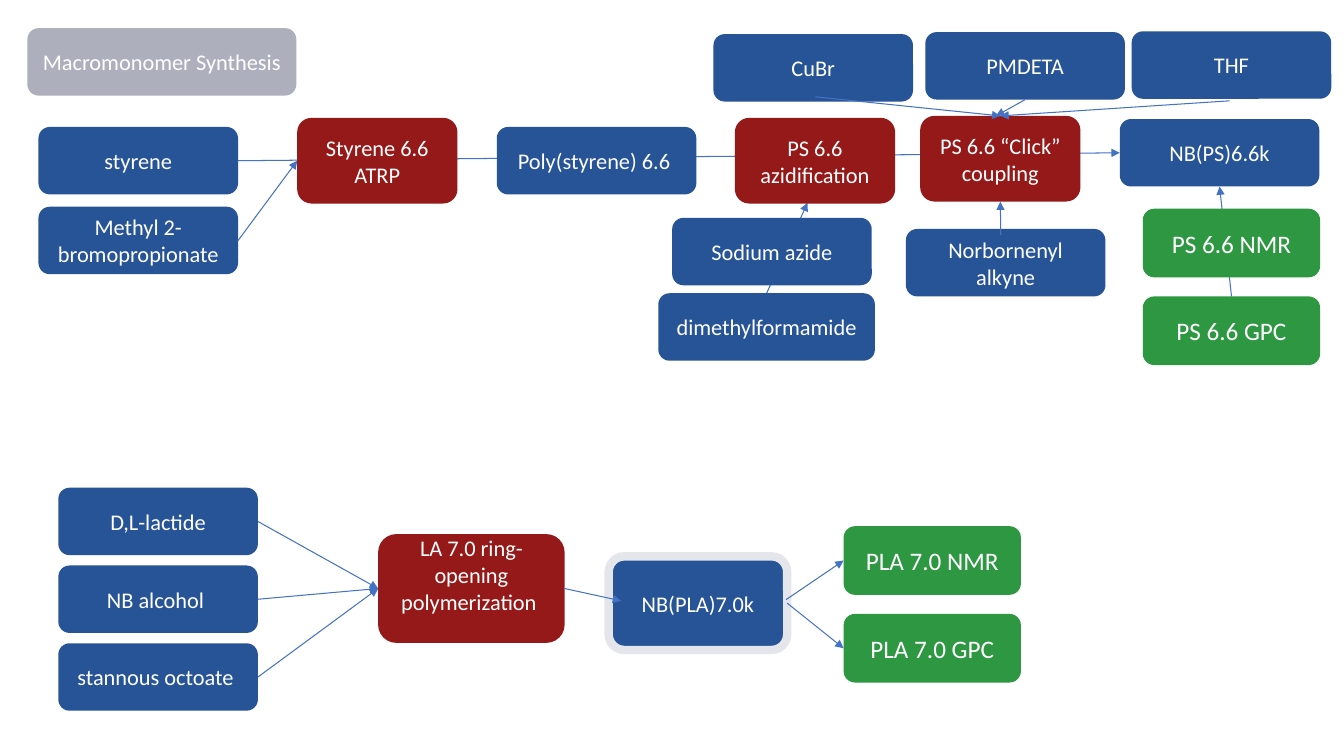
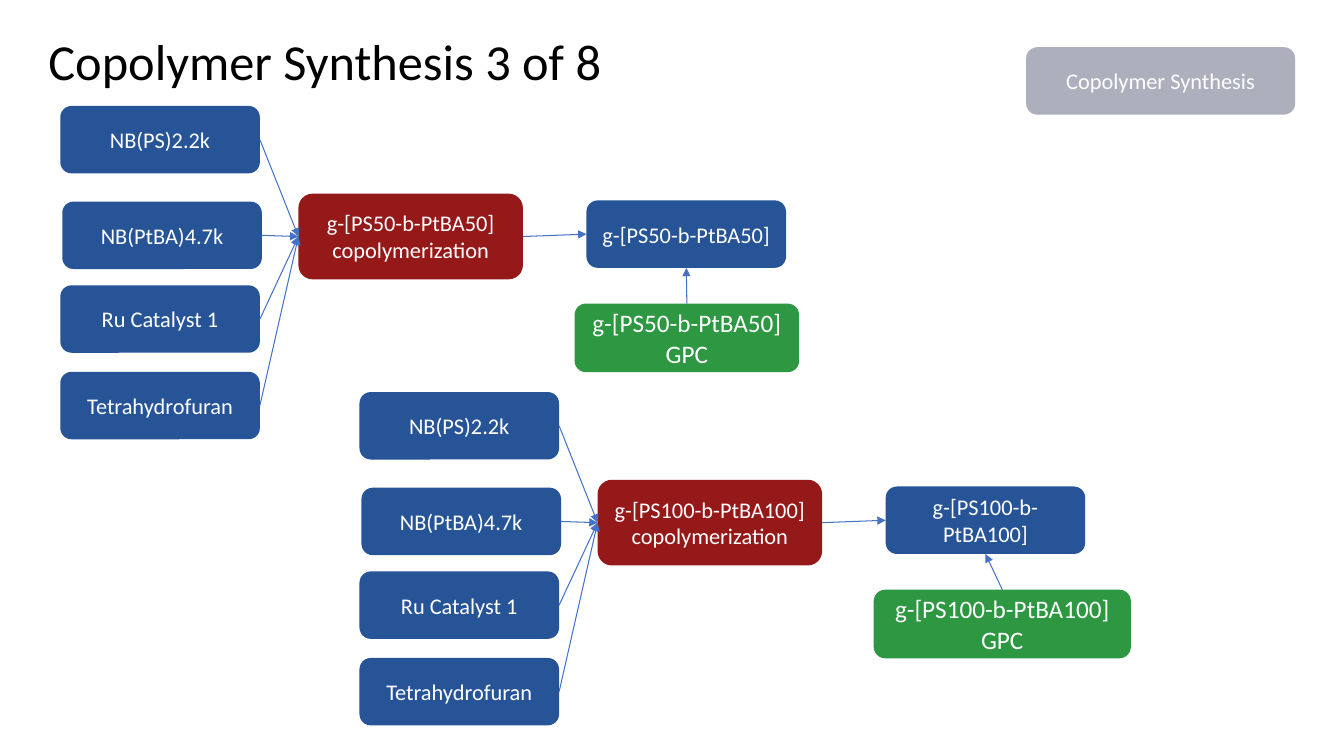
from collections import namedtuple
from dataclasses import dataclass

from lxml import etree
from pptx import Presentation
from pptx.dml.color import RGBColor
from pptx.enum.shapes import MSO_CONNECTOR, MSO_SHAPE
from pptx.enum.text import MSO_ANCHOR, PP_ALIGN
from pptx.oxml.ns import qn
from pptx.util import Cm, Pt

ROUNDED = MSO_SHAPE.ROUNDED_RECTANGLE
STRAIGHT = MSO_CONNECTOR.STRAIGHT
MIDDLE, BOTTOM_ANCHOR = MSO_ANCHOR.MIDDLE, MSO_ANCHOR.BOTTOM
CENTER, LEFT_ALIGN = PP_ALIGN.CENTER, PP_ALIGN.LEFT
TOP, LEFT, BOTTOM, RIGHT = range(4)

# Theme: each kind of box has a fill, a usual size in cm and a text size
Kind = namedtuple("Kind", "fill width height text_size")


@dataclass(frozen=True)
class Theme:
    font: str = "Calibri"
    text: str = "FFFFFF"
    title: str = "000000"
    title_size: int = 36
    arrow: str = "4472C4"
    arrow_width: float = 0.75
    halo: str = "E5E6EB"
    halo_width: int = 6
    material: Kind = Kind("275497", 5.03, 1.70, 16)
    process: Kind = Kind("951919", 4.04, 2.16, 16)
    measurement: Kind = Kind("2D9742", 4.47, 1.73, 18)
    tag: Kind = Kind("ADAFBD", 6.78, 1.70, 16)


THEME = Theme()
MATERIAL, PROCESS = THEME.material, THEME.process
MEASUREMENT, TAG = THEME.measurement, THEME.tag

# Macromonomer content: name -> (text, kind, left, top[, width, height]) in cm
MACROMONOMER_BOXES = {
    "tag": ("Macromonomer Synthesis", TAG, 0.69, 0.71),
    "styrene": ("styrene", MATERIAL, 0.97, 3.20),
    "initiator": ("Methyl 2-bromopropionate", MATERIAL, 0.97, 5.21),
    "atrp": ("Styrene 6.6 ATRP", PROCESS, 7.49, 2.97),
    "polystyrene": ("Poly(styrene) 6.6 ", MATERIAL, 12.52, 3.20),
    "azidification": ("PS 6.6 azidification", PROCESS, 18.52, 2.97),
    "click": ("PS 6.6 “Click” coupling", PROCESS, 23.19, 2.92),
    "alkyne": ("Norbornenyl alkyne", MATERIAL, 22.83, 5.77),
    "nb_ps": ("NB(PS)6.6k", MATERIAL, 28.22, 3.00),
    "ps_nmr": ("PS 6.6 NMR", MEASUREMENT, 28.80, 5.26),
    "ps_gpc": ("PS 6.6 GPC", MEASUREMENT, 28.80, 7.47),
    "azide": ("Sodium azide", MATERIAL, 16.94, 5.49),
    "dmf": ("dimethylformamide", MATERIAL, 16.59, 7.39, 5.46),
    "cubr": ("CuBr", MATERIAL, 17.98, 0.86),
    "pmdeta": ("PMDETA", MATERIAL, 23.32, 0.81),
    "thf": ("THF", MATERIAL, 28.52, 0.79),
    "nb_pla": ("NB(PLA)7.0k", MATERIAL, 15.34, 14.02, 4.50, 2.36),
    "ring_opening": ("LA 7.0 ring- opening polymerization ", PROCESS, 9.53, 13.46, 4.70, 2.74),
    "lactide": ("D,L-lactide", MATERIAL, 1.47, 12.29),
    "alcohol": ("NB alcohol ", MATERIAL, 1.47, 14.25),
    "octoate": ("stannous octoate ", MATERIAL, 1.47, 16.21),
    "pla_nmr": ("PLA 7.0 NMR", MEASUREMENT, 21.26, 13.26),
    "pla_gpc": ("PLA 7.0 GPC", MEASUREMENT, 21.26, 15.47),
}
# An arrow end is (box name, side) or a free point (x, y) in cm
ARROWS_BEHIND = [
    (("styrene", RIGHT), ("nb_ps", LEFT)),
    (("ps_gpc", TOP), ("nb_ps", BOTTOM)),
    (("dmf", TOP), (20.35, 5.11)),
]
ARROWS_IN_FRONT = [
    (("initiator", RIGHT), ("atrp", LEFT)),
    ((25.22, 5.92), ("click", BOTTOM)),
    ((20.55, 2.44), ("click", TOP)),
    (("pmdeta", BOTTOM), (25.10, 2.92)),
    ((30.99, 2.54), ("click", TOP)),
    *[((name, RIGHT), ("ring_opening", LEFT)) for name in ("lactide", "alcohol", "octoate")],
    (("ring_opening", RIGHT), (15.65, 15.14)),
    ((19.81, 15.11), ("pla_nmr", LEFT)),
    (("nb_pla", RIGHT), ("pla_gpc", LEFT)),
]

# Copolymer content: one reaction per polymer, each a step down and right
COPOLYMER_TITLE = "Copolymer Synthesis 3 of 8"
COPOLYMER_TAG = ("Copolymer Synthesis", TAG, 25.86, 1.19)
REACTIONS = [("g-[PS50-b-PtBA50]", 5.66), ("g-[PS100-b-PtBA100]", 6.48)]
REACTION_STEP = (7.54, 7.21)
REAGENTS = {
    "nb_ps": ("NB(PS)2.2k", MATERIAL, 1.52, 2.67),
    "nb_ptba": ("NB(PtBA)4.7k", MATERIAL, 1.57, 5.08),
    "catalyst": ("Ru Catalyst 1", MATERIAL, 1.52, 7.19),
    "solvent": ("Tetrahydrofuran", MATERIAL, 1.52, 9.37),
}
REACTION_ARROWS = [
    *[((name, RIGHT), ("reaction", LEFT)) for name in REAGENTS],
    (("reaction", RIGHT), ("product", LEFT)),
    (("gpc", TOP), ("product", BOTTOM)),
]


def write_text(shape, text, size, color, align, anchor):
    frame = shape.text_frame
    frame.word_wrap = True
    frame.vertical_anchor = anchor
    for index, line in enumerate(text.split("\n")):
        paragraph = frame.add_paragraph() if index else frame.paragraphs[0]
        paragraph.alignment = align
        run = paragraph.add_run()
        run.text = line
        run.font.name = THEME.font
        run.font.size = Pt(size)
        run.font.color.rgb = RGBColor.from_string(color)


def add_title(slide, text):
    box = slide.shapes.add_textbox(Cm(0.97), Cm(0.74), Cm(29.21), Cm(1.70))
    write_text(box, text, THEME.title_size, THEME.title, LEFT_ALIGN, BOTTOM_ANCHOR)
    box.text_frame.paragraphs[0].line_spacing = 0.9


def add_box(slide, text, kind, left, top, width=None, height=None):
    box = slide.shapes.add_shape(
        ROUNDED, Cm(left), Cm(top), Cm(width or kind.width), Cm(height or kind.height))
    box.shadow.inherit = False
    box.fill.solid()
    box.fill.fore_color.rgb = RGBColor.from_string(kind.fill)
    box.line.fill.background()
    write_text(box, text, kind.text_size, THEME.text, CENTER, MIDDLE)
    return box


def add_boxes(slide, content):
    return {name: add_box(slide, *details) for name, details in content.items()}


def add_arrow(slide, boxes, start, end):
    # Free ends take their point; joined ends are moved by the connection
    points = [(0, 0) if point[0] in boxes else point for point in (start, end)]
    arrow = slide.shapes.add_connector(
        STRAIGHT, *[Cm(value) for point in points for value in point])
    if start[0] in boxes:
        arrow.begin_connect(boxes[start[0]], start[1])
    if end[0] in boxes:
        arrow.end_connect(boxes[end[0]], end[1])
    arrow.line.color.rgb = RGBColor.from_string(THEME.arrow)
    arrow.line.width = Pt(THEME.arrow_width)
    etree.SubElement(arrow.line._get_or_add_ln(), qn("a:tailEnd"), type="triangle")
    etree.SubElement(arrow.element.spPr, qn("a:effectLst"))
    return arrow


def build_macromonomer(slide):
    boxes = add_boxes(slide, MACROMONOMER_BOXES)
    halo = boxes["nb_pla"].line
    halo.color.rgb = RGBColor.from_string(THEME.halo)
    halo.width = Pt(THEME.halo_width)
    # Text sits half a line above the middle
    boxes["ring_opening"].text_frame.margin_bottom = Cm(0.81)
    for start, end in ARROWS_BEHIND:
        arrow = add_arrow(slide, boxes, start, end)
        boxes["tag"].element.addprevious(arrow.element)
    for start, end in ARROWS_IN_FRONT:
        add_arrow(slide, boxes, start, end)


def build_copolymer(slide):
    add_title(slide, COPOLYMER_TITLE)
    add_box(slide, *COPOLYMER_TAG)
    for index, (polymer, gpc_width) in enumerate(REACTIONS):
        content = {
            **REAGENTS,
            "reaction": (f"{polymer}\ncopolymerization", PROCESS, 7.52, 4.88, 5.66),
            "product": (polymer, MATERIAL, 14.78, 5.05),
            "gpc": (f"{polymer}\nGPC", MEASUREMENT, 14.48, 7.65, gpc_width),
        }
        right, down = (index * step for step in REACTION_STEP)
        boxes = add_boxes(slide, {
            name: (text, kind, left + right, top + down, *size)
            for name, (text, kind, left, top, *size) in content.items()})
        for start, end in REACTION_ARROWS:
            add_arrow(slide, boxes, start, end)


def main():
    presentation = Presentation()
    presentation.slide_width, presentation.slide_height = Cm(33.87), Cm(19.05)
    blank = presentation.slide_layouts[6]
    for build in (build_macromonomer, build_copolymer):
        build(presentation.slides.add_slide(blank))
    presentation.save("out.pptx")


if __name__ == "__main__":
    main()
